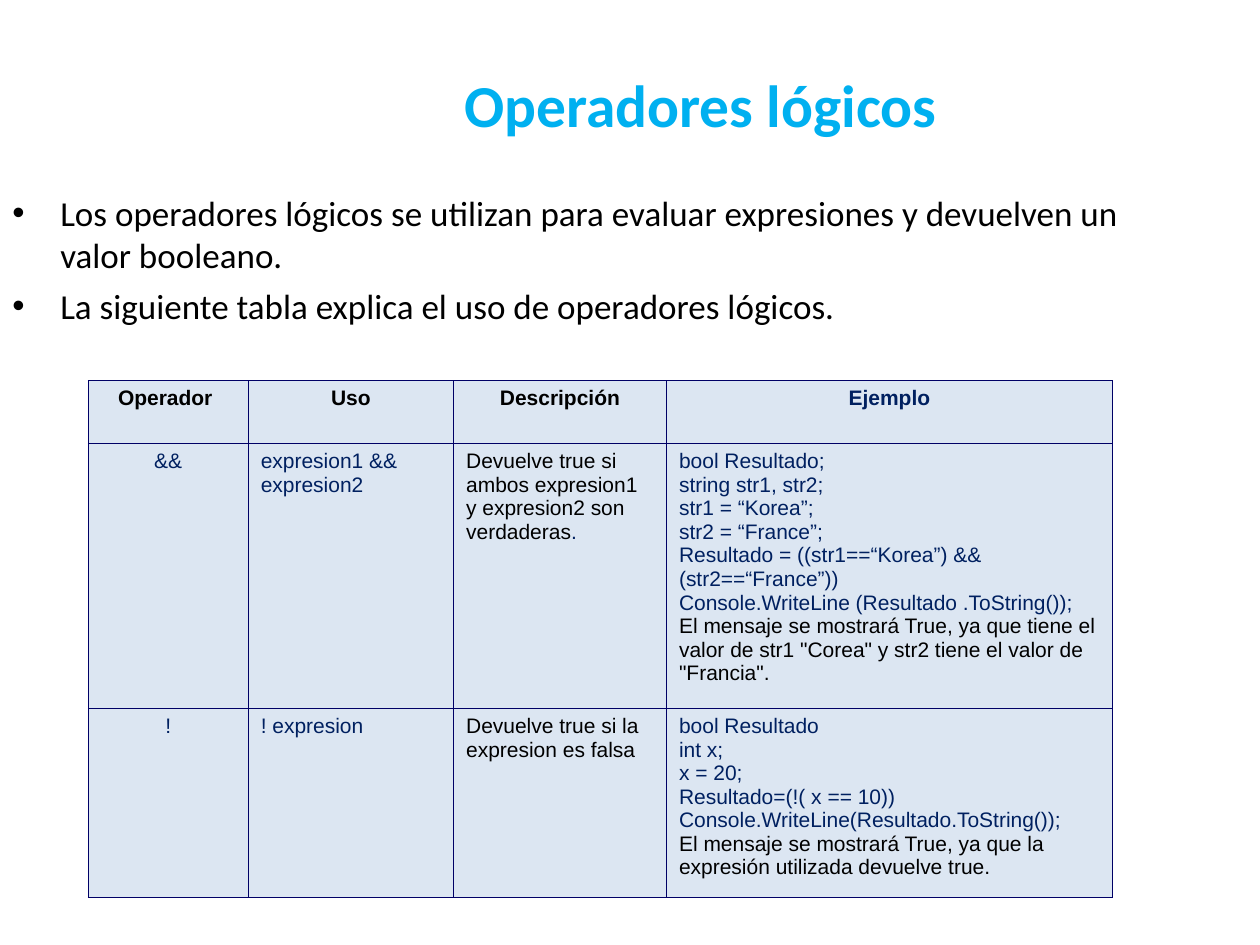
from lxml import etree
from pptx import Presentation
from pptx.dml.color import RGBColor
from pptx.enum.text import MSO_ANCHOR, PP_ALIGN
from pptx.oxml.ns import qn
from pptx.util import Inches, Pt

CENTER, LEFT = PP_ALIGN.CENTER, PP_ALIGN.LEFT
TOP, MIDDLE = MSO_ANCHOR.TOP, MSO_ANCHOR.MIDDLE

COLORS = {
    "title": "00B0F0",
    "text": "000000",
    "code": "002060",
    "cell": "DCE6F2",
    "border": "000066",
}

BULLETS = [
    "Los operadores lógicos se utilizan para evaluar expresiones y devuelven un valor booleano.",
    "La siguiente tabla explica el uso de operadores lógicos.",
]

COLUMN_WIDTHS = [1.27, 1.63, 1.69, 3.54]
ROW_HEIGHTS = [0.5, 2.1, 1.5]
HEADERS = [("Operador ", "text"), ("Uso", "text"), ("Descripción", "text"), ("Ejemplo", "code")]

# Operator, use, description runs, example code, explanation
OPERATORS = [
    (
        "&&",
        "expresion1 && expresion2",
        [("Devuelve true si ambos expresion1 y expresion2 son verdaderas", "text"), (".", "code")],
        [
            "bool Resultado;",
            "string str1, str2;",
            "str1 = “Korea”;",
            "str2 = “France”;",
            "Resultado = ((str1==“Korea”) && (str2==“France”))",
            "Console.WriteLine (Resultado .ToString());",
        ],
        'El mensaje se mostrará True, ya que tiene el valor de str1 "Corea" '
        'y str2 tiene el valor de "Francia".',
    ),
    (
        "!",
        "! expresion",
        [("Devuelve true si la expresion es falsa", "text")],
        [
            "bool Resultado",
            "int x;",
            "x = 20;",
            "Resultado=(!( x == 10))",
            "Console.WriteLine(Resultado.ToString());",
        ],
        "El mensaje se mostrará True, ya que la expresión utilizada devuelve true.",
    ),
]


def add_bullet(paragraph, indent):
    properties = paragraph._p.get_or_add_pPr()
    properties.set("marL", str(Inches(indent)))
    properties.set("indent", str(-Inches(indent)))
    color = etree.SubElement(properties, qn("a:buClr"))
    etree.SubElement(color, qn("a:srgbClr"), val=COLORS["text"])
    etree.SubElement(properties, qn("a:buFont"), typeface="Arial")
    etree.SubElement(properties, qn("a:buChar"), char="•")


def write_text(frame, paragraphs, size=12, font="Arial", bold=False, align=LEFT,
               line_spacing=None, space_before=0, bullet_indent=None):
    """Fill a text frame; each paragraph is a list of (text, color name) runs."""
    frame.word_wrap = True
    for index, runs in enumerate(paragraphs):
        paragraph = frame.paragraphs[0] if index == 0 else frame.add_paragraph()
        paragraph.alignment = align
        if line_spacing:
            paragraph.line_spacing = line_spacing
        if index and space_before:
            paragraph.space_before = Pt(space_before)
        if bullet_indent:
            add_bullet(paragraph, bullet_indent)
        for text, color in runs:
            run = paragraph.add_run()
            run.text = text
            run.font.size = Pt(size)
            run.font.name = font
            run.font.bold = bold
            run.font.color.rgb = RGBColor.from_string(COLORS[color])


def add_text_box(slide, left, top, width, height, paragraphs, anchor=TOP, **text_format):
    shape = slide.shapes.add_textbox(Inches(left), Inches(top), Inches(width), Inches(height))
    shape.text_frame.vertical_anchor = anchor
    write_text(shape.text_frame, paragraphs, **text_format)


def style_cell(cell):
    properties = cell._tc.get_or_add_tcPr()
    for side in ("lnL", "lnR", "lnT", "lnB"):
        line = etree.SubElement(properties, qn(f"a:{side}"), w=str(Pt(0.45)))
        fill = etree.SubElement(line, qn("a:solidFill"))
        etree.SubElement(fill, qn("a:srgbClr"), val=COLORS["border"])
    cell.fill.solid()
    cell.fill.fore_color.rgb = RGBColor.from_string(COLORS["cell"])


def add_operator_table(slide, left, top):
    rows = [[[[header]] for header in HEADERS]]
    for operator, use, description, code, explanation in OPERATORS:
        example = [[(line, "code")] for line in code] + [[(explanation, "text")]]
        rows.append([[[(operator, "code")]], [[(use, "code")]], [description], example])

    table = slide.shapes.add_table(
        len(rows), len(COLUMN_WIDTHS), Inches(left), Inches(top),
        Inches(sum(COLUMN_WIDTHS)), Inches(sum(ROW_HEIGHTS))).table
    for column, width in zip(table.columns, COLUMN_WIDTHS):
        column.width = Inches(width)
    for row, height in zip(table.rows, ROW_HEIGHTS):
        row.height = Inches(height)

    for row_index, row in enumerate(rows):
        for column_index, paragraphs in enumerate(row):
            cell = table.cell(row_index, column_index)
            style_cell(cell)
            is_header = row_index == 0
            write_text(cell.text_frame, paragraphs, bold=is_header,
                       align=CENTER if is_header or column_index == 0 else LEFT)


def main():
    presentation = Presentation()
    presentation.slide_width = Inches(10)
    presentation.slide_height = Inches(7.5)
    slide = presentation.slides.add_slide(presentation.slide_layouts[6])

    # Title
    add_text_box(slide, 1.38, 0.44, 8.36, 0.87, [[("Operadores lógicos", "title")]],
                 anchor=MIDDLE, size=34, font="Calibri", bold=True, align=CENTER,
                 line_spacing=0.8)
    # Introduction
    add_text_box(slide, 0, 1.47, 9.29, 4.96, [[(text, "text")] for text in BULLETS],
                 size=20, font="Calibri", space_before=5, bullet_indent=0.38)
    # Operators with their use and examples
    add_operator_table(slide, 0.7, 3.02)

    presentation.save("out.pptx")


if __name__ == "__main__":
    main()
